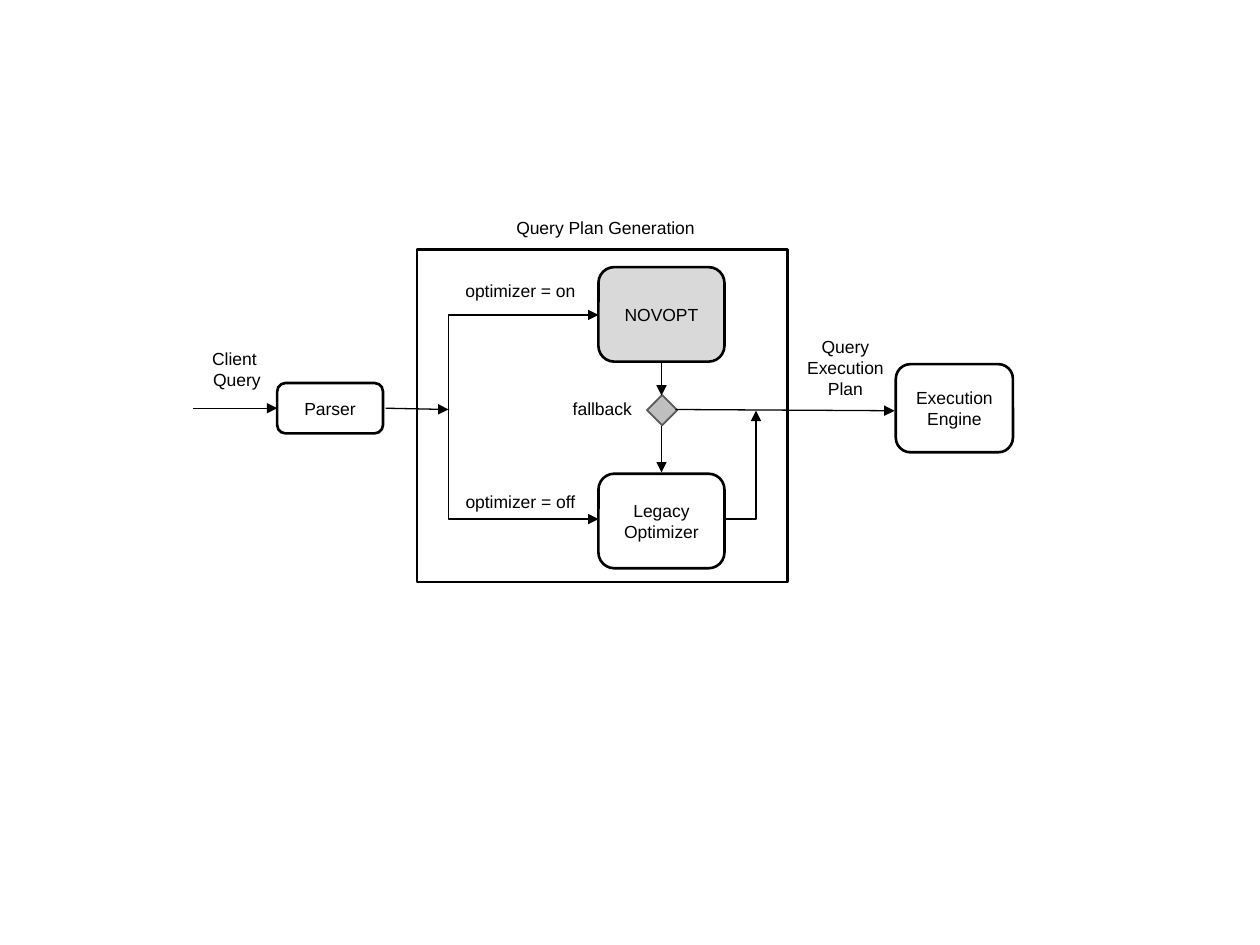
from pptx import Presentation
from pptx.dml.color import RGBColor
from pptx.enum.shapes import MSO_CONNECTOR as CONN, MSO_SHAPE as SHAPE
from pptx.enum.text import MSO_ANCHOR as ANCHOR, PP_ALIGN as ALIGN
from pptx.oxml.ns import qn
from pptx.util import Inches, Pt
from lxml import etree

COLORS = {"ink": "000000", "optimizer": "D9D9D9", "decision": "BFBFBF", "edge": "595959"}


def rgb(name):
    """Return the palette colour of that name."""
    return RGBColor.from_string(COLORS[name])


def set_text(s, text):
    """Write centred black text in a shape."""
    tf = s.text_frame
    tf.word_wrap = True
    tf.text = text
    for p in tf.paragraphs:
        p.alignment = ALIGN.CENTER
        for r in p.runs:
            r.font.name, r.font.size = "Arial", Pt(10)
            r.font.color.rgb = rgb("ink")


def add_label(slide, x, y, w, h, text):
    """Add a free-standing label."""
    s = slide.shapes.add_textbox(*map(Inches, (x, y, w, h)))
    set_text(s, text)


def add_box(slide, kind, x, y, w, h, text="", fill=None, line="ink", weight=1.5):
    """Add an outlined shape with optional fill and text."""
    s = slide.shapes.add_shape(kind, *map(Inches, (x, y, w, h)))
    s.shadow.inherit = False
    if fill:
        s.fill.solid()
        s.fill.fore_color.rgb = rgb(fill)
    else:
        s.fill.background()
    s.line.color.rgb = rgb(line)
    s.line.width = Pt(weight)
    if text:
        tf = s.text_frame
        tf.margin_left = tf.margin_right = Inches(0.05)
        tf.vertical_anchor = ANCHOR.MIDDLE
        set_text(s, text)
    return s


def add_arrow(slide, start, end, kind=CONN.STRAIGHT):
    """Add a thin arrow between two points."""
    s = slide.shapes.add_connector(kind, *map(Inches, start + end))
    s.line.color.rgb = rgb("ink")
    s.line.width = Pt(0.75)
    etree.SubElement(s.line._get_or_add_ln(), qn("a:tailEnd"), type="triangle")
    sp_pr = s._element.spPr
    etree.SubElement(sp_pr, qn("a:effectLst"))
    return sp_pr.find(qn("a:prstGeom"))


def add_branch(slide, start, end):
    """Add an elbow that leaves vertically and arrives horizontally."""
    geom = add_arrow(slide, start, end, CONN.ELBOW)
    guides = geom.find(qn("a:avLst"))
    if guides is None:
        guides = etree.SubElement(geom, qn("a:avLst"))
    etree.SubElement(guides, qn("a:gd"), name="adj1", fmla="val 200")


def add_merge(slide, start, end):
    """Add an elbow that leaves horizontally and arrives vertically."""
    add_arrow(slide, start, end, CONN.ELBOW).set("prst", "bentConnector2")


def main():
    """Build the query planning diagram."""
    prs = Presentation()
    prs.slide_width, prs.slide_height = Inches(10), Inches(7.5)
    slide = prs.slides.add_slide(prs.slide_layouts[6])

    add_box(slide, SHAPE.RECTANGLE, 3.31, 1.98, 2.94, 2.64)
    for x, y, w, h, text, fill in (
        (2.2, 3.04, 0.84, 0.4, "Parser", None),
        (4.75, 2.12, 1, 0.75, "NOVOPT", "optimizer"),
        (4.75, 3.76, 1, 0.75, "Legacy Optimizer", None),
        (7.11, 2.89, 0.93, 0.7, "Execution Engine", None),
    ):
        add_box(slide, SHAPE.ROUNDED_RECTANGLE, x, y, w, h, text, fill)
    decision = add_box(slide, SHAPE.RECTANGLE, 5.17, 3.17, 0.17, 0.17,
                       fill="decision", line="edge", weight=1)
    decision.rotation = 45

    fork = (3.56, 3.25)
    for start, end in (
        ((1.53, 3.24), (2.2, 3.24)),
        ((3.06, 3.24), fork),
        ((5.36, 3.25), (7.1, 3.26)),
        ((5.25, 2.87), (5.25, 3.14)),
        ((5.25, 3.38), (5.25, 3.75)),
    ):
        add_arrow(slide, start, end)
    for y in (2.5, 4.12):
        add_branch(slide, fork, (4.75, y))
    add_merge(slide, (5.76, 4.12), (6, 3.26))

    for label in (
        (1.46, 2.71, 0.84, 0.44, "Client \vQuery"),
        (3.89, 1.67, 1.83, 0.27, "Query Plan Generation"),
        (3.56, 2.17, 1.14, 0.27, "optimizer = on"),
        (3.56, 3.85, 1.14, 0.27, "optimizer = off"),
        (4.4, 3.11, 0.76, 0.27, "fallback"),
        (6.21, 2.62, 1, 0.61, "Query Execution Plan"),
    ):
        add_label(slide, *label)

    prs.save("out.pptx")


main()
